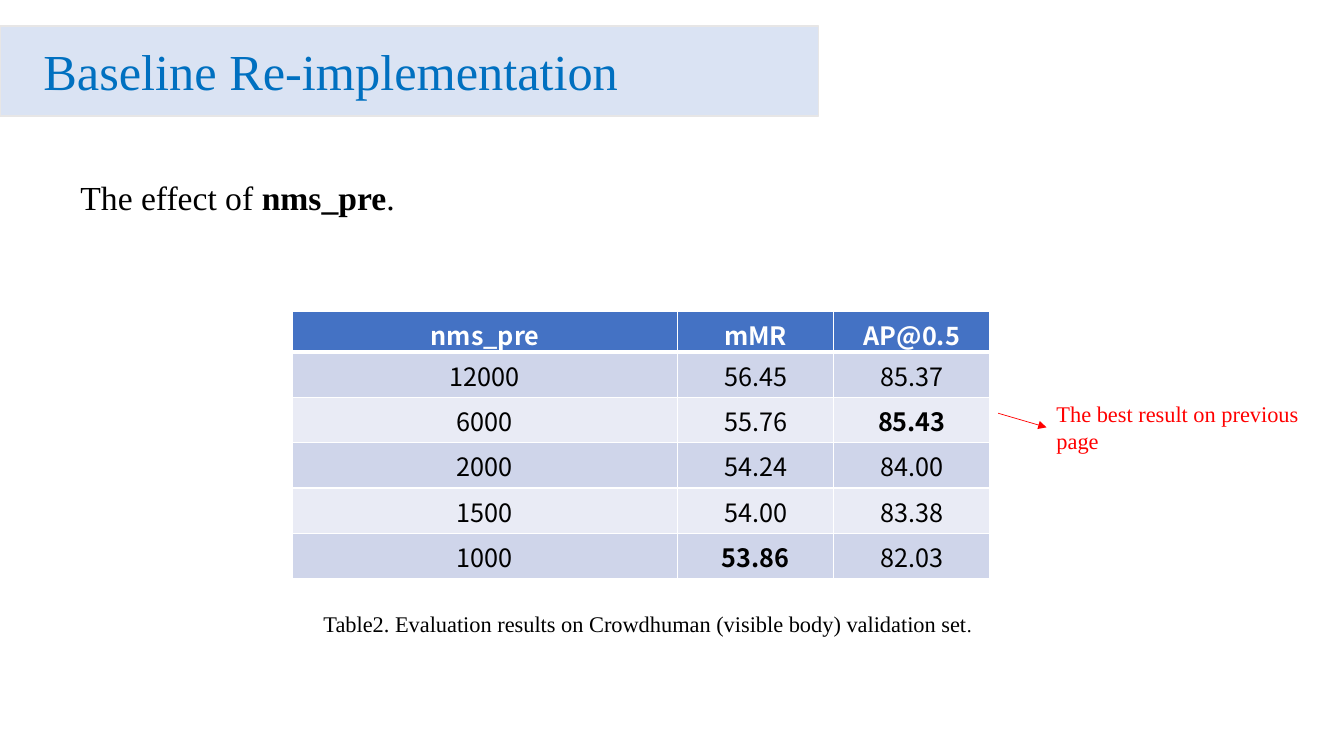
from lxml.etree import SubElement
from pptx import Presentation
from pptx.dml.color import RGBColor
from pptx.enum.shapes import MSO_CONNECTOR, MSO_SHAPE
from pptx.enum.text import MSO_ANCHOR, MSO_AUTO_SIZE, PP_ALIGN
from pptx.oxml.ns import qn
from pptx.util import Inches, Pt

BLACK, WHITE, RED = "000000", "FFFFFF", "FF0000"
HEADER_FILL, ROW_FILLS = "4472C4", ("CFD5EA", "E9EBF5")


def color(value):
    return RGBColor.from_string(value)


class ResultPage:
    """Style and drawing methods for one slide."""
    text_font = "Times New Roman"
    table_font = "Noto Sans CJK SC"

    def __init__(self, deck):
        self.page = deck.slides.add_slide(deck.slide_layouts[5])

    def set_font(self, font, size, text_color, name=text_font, bold=False):
        font.name, font.size, font.bold = name, Pt(size), bold
        font.color.rgb = color(text_color)

    def band(self, left, top, width, height, fill, line):
        shape = self.page.shapes.add_shape(
            MSO_SHAPE.FLOWCHART_PROCESS, Inches(left), Inches(top), Inches(width), Inches(height))
        shape.shadow.inherit = False
        shape.fill.solid()
        shape.fill.fore_color.rgb = color(fill)
        shape.line.color.rgb = color(line)
        shape.line.width = Pt(1)

    def fill_text(self, box, spans, size, text_color):
        """Fill a box with one paragraph of (text, font changes) spans."""
        frame = box.text_frame
        frame.word_wrap = True
        frame.auto_size = MSO_AUTO_SIZE.SHAPE_TO_FIT_TEXT
        frame.vertical_anchor = MSO_ANCHOR.TOP
        para = frame.paragraphs[0]
        para.alignment = PP_ALIGN.LEFT
        para.line_spacing = 1.0
        self.set_font(para.font, size, text_color)
        for text, changes in spans:
            span = para.add_run()
            span.text = text
            if len(spans) > 1:
                self.set_font(span.font, changes.get("size", size), text_color,
                              bold=changes.get("bold", False))

    def title(self, left, top, width, height, text, size, text_color):
        box = self.page.shapes.title
        box.left, box.top = Inches(left), Inches(top)
        box.width, box.height = Inches(width), Inches(height)
        self.fill_text(box, [(text, {})], size, text_color)
        # Bring the title in front of the band
        box._element.getparent().append(box._element)

    def text(self, left, top, width, height, spans, size, text_color=BLACK):
        box = self.page.shapes.add_textbox(Inches(left), Inches(top), Inches(width), Inches(height))
        self.fill_text(box, spans, size, text_color)

    def cell_borders(self, cell, bottom):
        properties = cell._tc.get_or_add_tcPr()
        widths = {"a:lnL": 1, "a:lnR": 1, "a:lnT": 1, "a:lnB": bottom}
        for position, (tag, width) in enumerate(widths.items()):
            line = properties.makeelement(qn(tag), {"w": str(Pt(width))})
            SubElement(SubElement(line, qn("a:solidFill")), qn("a:srgbClr"), val=WHITE)
            properties.insert(position, line)

    def table(self, left, top, height, columns, row_heights, rows, bold_cells):
        frame = self.page.shapes.add_table(
            len(rows), len(columns), Inches(left), Inches(top), Inches(sum(columns)), Inches(height))
        grid = frame.table
        for column, width in zip(grid.columns, columns):
            column.width = Inches(width)
        for row_index, values in enumerate(rows):
            header = row_index == 0
            grid.rows[row_index].height = Inches(row_heights[row_index])
            for column_index, value in enumerate(values):
                cell = grid.cell(row_index, column_index)
                cell.text = value
                cell.fill.solid()
                cell.fill.fore_color.rgb = color(
                    HEADER_FILL if header else ROW_FILLS[(row_index - 1) % 2])
                self.cell_borders(cell, 3 if header else 1)
                para = cell.text_frame.paragraphs[0]
                para.alignment = PP_ALIGN.CENTER
                self.set_font(para.font, 18, WHITE if header else BLACK, self.table_font,
                              header or value in bold_cells)
        frame.height = Inches(height)

    def arrow(self, start, end, line_color, width):
        connector = self.page.shapes.add_connector(
            MSO_CONNECTOR.STRAIGHT, *(Inches(value) for value in start + end))
        connector.line.color.rgb = color(line_color)
        connector.line.width = Pt(width)
        SubElement(connector.line._get_or_add_ln(), qn("a:tailEnd"), type="triangle")
        SubElement(connector._element.spPr, qn("a:effectLst"))


def main():
    deck = Presentation()
    deck.slide_width, deck.slide_height = Inches(13.33), Inches(7.5)
    page = ResultPage(deck)

    # Heading
    page.band(0, 0.26, 8.12, 0.89, "DAE3F3", "E7E6E6")
    page.title(0.33, 0.35, 6.02, 0.71, "Baseline Re-implementation", 36, "0070C0")
    page.text(0.7, 1.71, 8.64, 0.5,
              [("The effect of ", {}), ("nms_pre", {"bold": True}), (".", {})], 24)

    # Results, with the best value of each measure in bold
    results = [
        ("nms_pre", "mMR", "AP@0.5"),
        ("12000", "56.45", "85.37"),
        ("6000", "55.76", "85.43"),
        ("2000", "54.24", "84.00"),
        ("1500", "54.00", "83.38"),
        ("1000", "53.86", "82.03"),
    ]
    page.table(2.9, 3.09, 2.64, [3.82, 1.55, 1.55], [0.23] + [0.45] * 5,
               results, {"85.43", "53.86"})
    page.text(3.11, 6, 8.64, 0.37,
              [("Table2. Evaluation results on Crowdhuman (visible body) validation set", {}),
               (".", {"size": 14})], 16)

    # Remark on the best result
    page.text(10.38, 3.92, 2.75, 0.64, [("The best result on previous page", {})], 16, RED)
    page.arrow((9.9, 4.1), (10.38, 4.24), RED, 0.5)

    deck.save("out.pptx")


if __name__ == "__main__":
    main()
